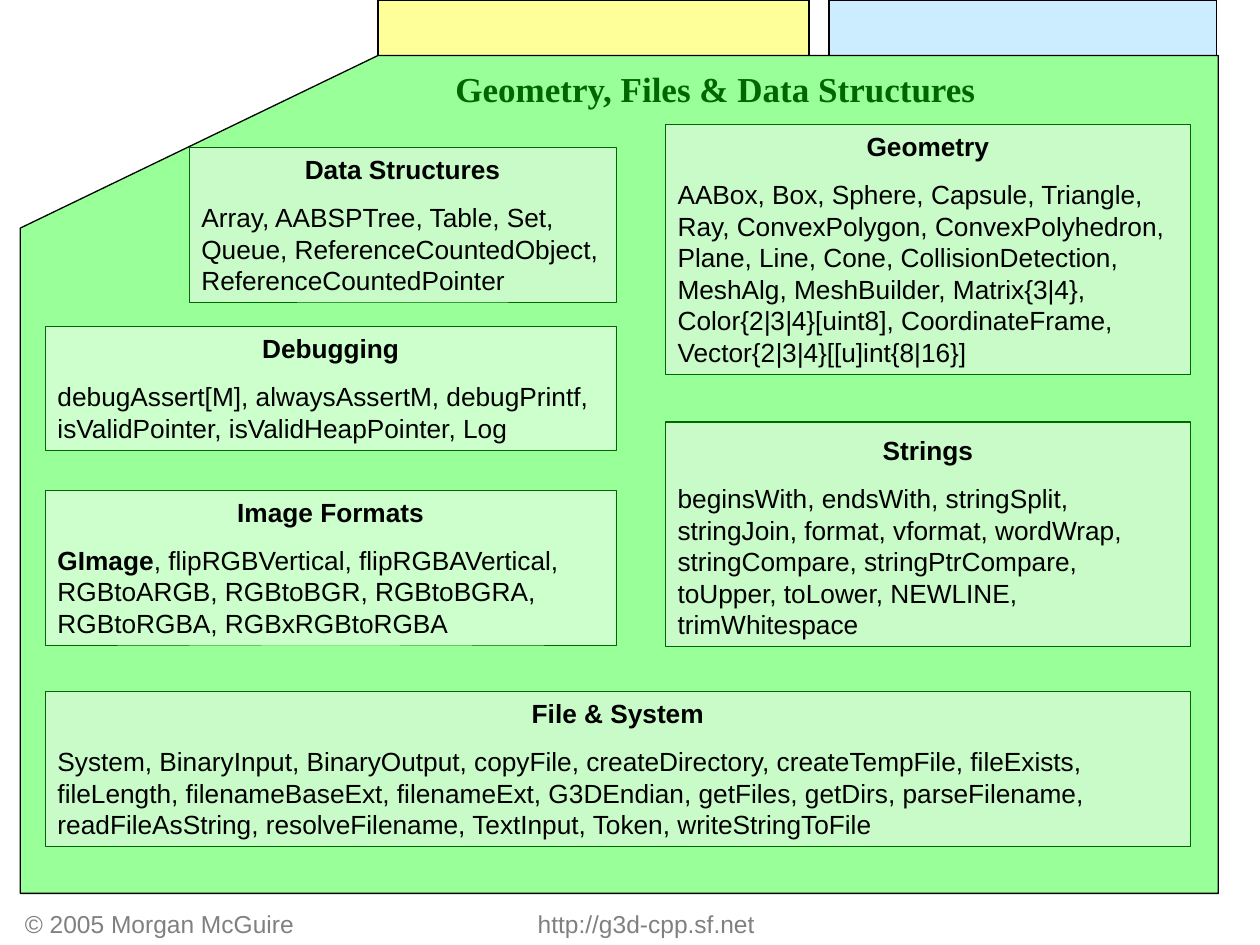
from lxml import etree
from pptx import Presentation
from pptx.dml.color import RGBColor
from pptx.enum.shapes import MSO_SHAPE
from pptx.enum.text import MSO_ANCHOR, MSO_AUTO_SIZE, PP_ALIGN
from pptx.oxml.ns import qn
from pptx.util import Cm, Pt

RECTANGLE = MSO_SHAPE.RECTANGLE
TOP = MSO_ANCHOR.TOP
FIT_SHAPE = MSO_AUTO_SIZE.SHAPE_TO_FIT_TEXT
LEFT, CENTER = PP_ALIGN.LEFT, PP_ALIGN.CENTER

THEME = {
    "heading_font": "Times New Roman", "body_font": "Arial",
    "title_size": 20, "body_size": 15, "footer_size": 14, "body_gap": 9.4,
    "green": "006600", "folder": "99FF99", "yellow": "FFFF99", "blue": "CCECFF",
    "white": "FFFFFF", "pale": "F8F8F8", "black": "000000", "grey": "808080",
    "thin": 0.25, "thick": 0.75, "opacity": 50,
}

TITLE = "Geometry, Files & Data Structures"
TITLE_BOX = (8.1, 1.24, 12.65, 1.12)
FOOTER = "© 2005 Morgan McGuire\thttp://g3d-cpp.sf.net"
FOOTER_BOX, FOOTER_TAB = (0.25, 18.21, 15.65, 0.86), 10.34
FOLDER = [(7.62, 1.12), (24.56, 1.12), (24.56, 18.01), (0.41, 18.01), (0.41, 4.6)]
TABS = [((16.71, 0, 7.82, 1.27), "blue"), ((7.62, 0, 8.69, 1.27), "yellow")]

LEFT_EDGE, INNER_LEFT, INNER_RIGHT, RIGHT_EDGE = 0.91, 12.42, 13.41, 24.0
INDENTED_EDGE = 3.81
BOLD, ITALIC = {"bold": True}, {"italic": True}
PIPE = ("|", ITALIC)

PANELS = [
    ("Debugging", ["debugAssert[M], alwaysAssertM, debugPrintf, isValidPointer, "
                   "isValidHeapPointer, Log"],
     (LEFT_EDGE, INNER_LEFT), 6.58, 2.49, "white"),
    ("Data Structures", ["Array, AABSPTree, Table, Set, Queue, ReferenceCountedObject, "
                         "ReferenceCountedPointer"],
     (INDENTED_EDGE, INNER_LEFT), 2.97, 3.12, "pale"),
    ("Image Formats", [("GImage", BOLD),
                       ", flipRGBVertical, flipRGBAVertical, RGBtoARGB, RGBtoBGR, "
                       "RGBtoBGRA, RGBtoRGBA, RGBxRGBtoRGBA"],
     (LEFT_EDGE, INNER_LEFT), 9.88, 3.12, "white"),
    ("Geometry", ["AABox, Box, Sphere, Capsule, Triangle, Ray, ConvexPolygon, "
                  "ConvexPolyhedron, Plane, Line, Cone, CollisionDetection, MeshAlg, "
                  "MeshBuilder, Matrix{3|4}, Color{2", PIPE, "3", PIPE,
                  "4}[uint8], CoordinateFrame, Vector{2", PIPE, "3", PIPE,
                  "4}[[u]int{8|16}]"],
     (INNER_RIGHT, RIGHT_EDGE), 2.51, 5.03, "pale"),
    ("File & System", ["System, BinaryInput, BinaryOutput, copyFile, createDirectory, "
                       "createTempFile, fileExists, fileLength, filenameBaseExt, "
                       "filenameExt, G3DEndian, getFiles, getDirs, parseFilename, "
                       "readFileAsString, resolveFilename, TextInput, Token, "
                       "writeStringToFile"],
     (LEFT_EDGE, RIGHT_EDGE), 13.94, 3.12, "pale"),
]
STRINGS = ("Strings", ["beginsWith, endsWith, stringSplit, stringJoin, format, vformat, "
                       "wordWrap, stringCompare, stringPtrCompare, toUpper, toLower, "
                       "NEWLINE, trimWhitespace"])
STRINGS_TOP, STRINGS_BOTTOM, STRINGS_INSET = 8.51, 13.03, 0.13


def place(left, top, width, height):
    return Cm(left), Cm(top), Cm(width), Cm(height)


def color(name):
    return RGBColor.from_string(THEME[name])


def paint(shape, fill, line="black", weight="thick", opacity=None):
    shape.shadow.inherit = False
    shape.fill.solid()
    shape.fill.fore_color.rgb = color(fill)
    if opacity:
        tint = shape.element.spPr.find(".//" + qn("a:srgbClr"))
        etree.SubElement(tint, qn("a:alpha"), val=str(opacity * 1000))
    shape.line.color.rgb = color(line)
    shape.line.width = Pt(THEME[weight])


def write(paragraph, text, size="body_size", font="body_font", ink="black",
          bold=False, italic=False, align=LEFT):
    paragraph.alignment = align
    run = paragraph.add_run()
    run.text = text
    run.font.size, run.font.name = Pt(THEME[size]), THEME[font]
    run.font.color.rgb = color(ink)
    run.font.bold, run.font.italic = bold, italic


def prepare_frame(shape):
    frame = shape.text_frame
    frame.word_wrap = True
    frame.auto_size = FIT_SHAPE
    frame.vertical_anchor = TOP
    return frame


def write_panel(shape, heading, parts):
    frame = prepare_frame(shape)
    write(frame.paragraphs[0], heading, bold=True, align=CENTER)
    body = frame.add_paragraph()
    body.space_before = Pt(THEME["body_gap"])
    for part in parts:
        text, style = (part, {}) if isinstance(part, str) else part
        write(body, text, **style)


def add_panel(shapes, box, fill, weight="thin"):
    panel = shapes.add_shape(RECTANGLE, *place(*box))
    paint(panel, fill, "green", weight, THEME["opacity"])
    return panel


def add_folder(shapes):
    for box, fill in TABS:
        paint(shapes.add_shape(RECTANGLE, *place(*box)), fill)
    points = [(Cm(x), Cm(y)) for x, y in FOLDER]
    builder = shapes.build_freeform(*points[0])
    builder.add_line_segments(points[1:], close=True)
    folder = builder.convert_to_shape()
    paint(folder, "folder")
    return folder


def add_title(shapes, folder):
    title = shapes.title
    title.left, title.top, title.width, title.height = place(*TITLE_BOX)
    write(prepare_frame(title).paragraphs[0], TITLE, size="title_size",
          font="heading_font", ink="green", bold=True, align=CENTER)
    folder.element.addnext(title.element)


def add_strings(shapes):
    width = RIGHT_EDGE - INNER_RIGHT
    tops = STRINGS_TOP, STRINGS_TOP + STRINGS_INSET
    panel_box, text_box = [(INNER_RIGHT, top, width, STRINGS_BOTTOM - top) for top in tops]
    add_panel(shapes, panel_box, "pale", "thick")
    write_panel(shapes.add_textbox(*place(*text_box)), *STRINGS)


def add_footer(shapes):
    paragraph = prepare_frame(shapes.add_textbox(*place(*FOOTER_BOX))).paragraphs[0]
    properties = paragraph._p.get_or_add_pPr()
    tabs = etree.SubElement(properties, qn("a:tabLst"))
    etree.SubElement(tabs, qn("a:tab"), pos=str(Cm(FOOTER_TAB)), algn="l")
    write(paragraph, FOOTER, size="footer_size", ink="grey")


def main():
    """Build the class overview slide for geometry, files and data structures."""
    presentation = Presentation()
    presentation.slide_width, presentation.slide_height = Cm(25.4), Cm(19.05)
    shapes = presentation.slides.add_slide(presentation.slide_layouts[5]).shapes
    add_title(shapes, add_folder(shapes))
    for heading, parts, (left, right), top, height, fill in PANELS:
        panel = add_panel(shapes, (left, top, right - left, height), fill)
        write_panel(panel, heading, parts)
    add_strings(shapes)
    add_footer(shapes)
    presentation.save("out.pptx")


if __name__ == "__main__":
    main()
